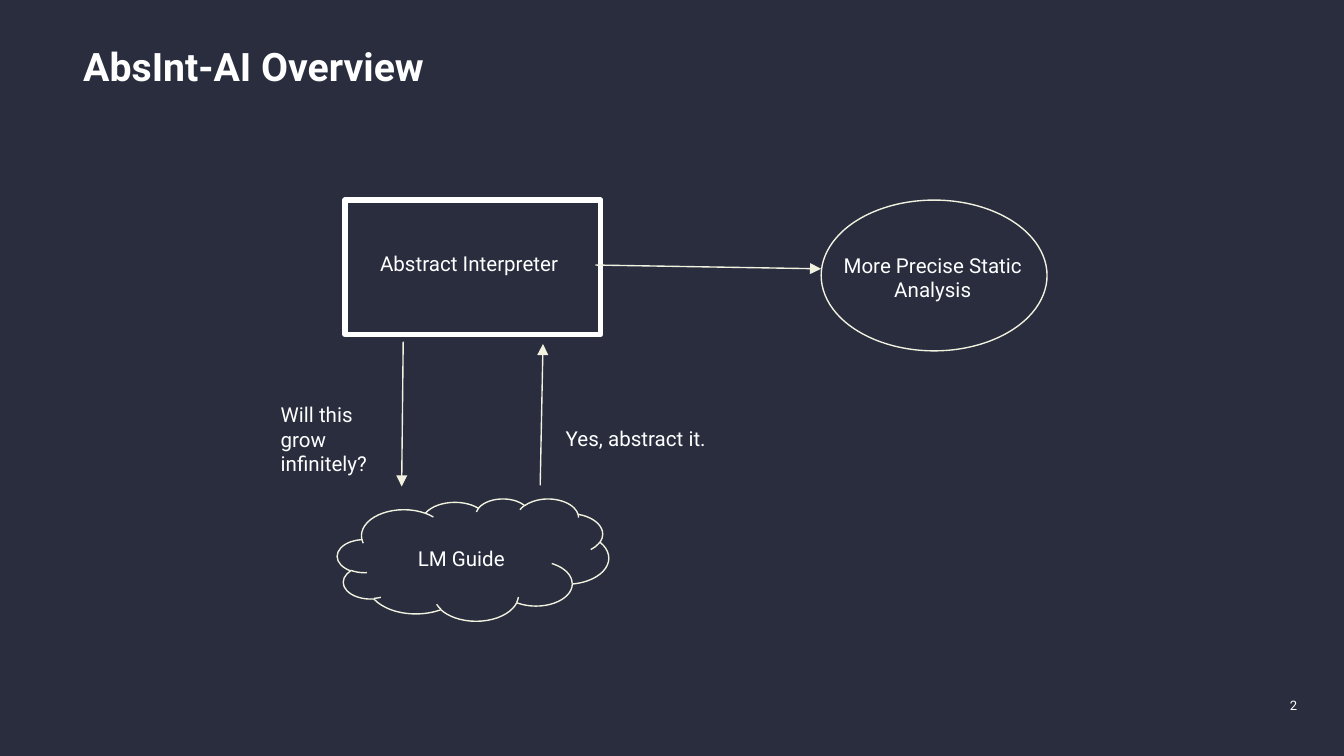
import pptx
import pptx.dml.color
import pptx.enum.shapes
import pptx.enum.text
import pptx.oxml
import pptx.oxml.ns
import pptx.util

Pt = pptx.util.Pt
SHAPE = pptx.enum.shapes.MSO_SHAPE
ALIGN = pptx.enum.text.PP_ALIGN
FONT = "Roboto"
COLORS = {"background": "292D3E", "white": "FFFFFF", "outline": "F1F2DF"}


def rgb(name):
    return pptx.dml.color.RGBColor.from_string(COLORS[name])


def sub_element(parent, tag, **attrs):
    el = pptx.oxml.parse_xml(f"<{tag} {pptx.oxml.ns.nsdecls('a')}/>")
    for key, value in attrs.items():
        el.set(key, value)
    parent.append(el)


def write_text(sp, text, size, align=ALIGN.LEFT, bold=False):
    tf = sp.text_frame
    tf.word_wrap = True
    tf.auto_size = pptx.enum.text.MSO_AUTO_SIZE.NONE
    tf.vertical_anchor = pptx.enum.text.MSO_ANCHOR.TOP
    tf.margin_left = tf.margin_right = tf.margin_top = tf.margin_bottom = Pt(7.2)
    p = tf.paragraphs[0]
    p.alignment = align
    r = p.add_run()
    r.text = text
    r.font.name = FONT
    r.font.size = Pt(size)
    r.font.bold = bold
    r.font.color.rgb = rgb("white")


def add_title(s, text, left, top, width, height):
    sp = s.shapes.title
    sp.left, sp.top, sp.width, sp.height = Pt(left), Pt(top), Pt(width), Pt(height)
    write_text(sp, text, 21, bold=True)


def add_label(s, text, left, top, width, height, size=11, align=ALIGN.LEFT):
    sp = s.shapes.add_textbox(Pt(left), Pt(top), Pt(width), Pt(height))
    write_text(sp, text, size, align)


def add_outline(s, kind, left, top, width, height, color="outline", weight=0.75):
    sp = s.shapes.add_shape(kind, Pt(left), Pt(top), Pt(width), Pt(height))
    sp.shadow.inherit = False
    sp.fill.background()
    sp.line.color.rgb = rgb(color)
    sp.line.width = Pt(weight)
    sub_element(sp.line._get_or_add_ln(), "a:round")


def add_arrow(s, x1, y1, x2, y2):
    cxn = s.shapes.add_connector(
        pptx.enum.shapes.MSO_CONNECTOR.STRAIGHT, Pt(x1), Pt(y1), Pt(x2), Pt(y2))
    cxn.line.color.rgb = rgb("outline")
    cxn.line.width = Pt(0.75)
    sub_element(cxn.line._get_or_add_ln(), "a:tailEnd", type="triangle")
    sub_element(cxn._element.spPr, "a:effectLst")


def main():
    prs = pptx.Presentation()
    prs.slide_width, prs.slide_height = Pt(720), Pt(405)
    s = prs.slides.add_slide(prs.slide_layouts[5])
    s.background.fill.solid()
    s.background.fill.fore_color.rgb = rgb("background")

    add_title(s, "AbsInt-AI Overview", 37.4, 15.5, 301, 57.6)

    add_outline(s, SHAPE.RECTANGLE, 185, 107.2, 136.8, 72, "white", 3)
    add_label(s, "Abstract Interpreter", 196.5, 127.5, 131, 93.6)
    add_outline(s, SHAPE.OVAL, 439.9, 107.2, 121, 80.8)
    add_label(s, "More Precise Static Analysis", 434.2, 128.2, 131, 30.2,
              align=ALIGN.CENTER)
    add_outline(s, SHAPE.CLOUD, 180.7, 267.1, 145.4, 65.5)
    add_label(s, "LM Guide", 216.7, 285.1, 72.7, 30.2)

    add_arrow(s, 319, 142, 439.9, 144)
    add_arrow(s, 216, 183, 215.2, 260.6)
    add_arrow(s, 289.4, 260, 290.9, 184.3)
    add_label(s, "Will this grow infinitely?", 143.3, 208.1, 72.7, 30.2)
    add_label(s, "Yes, abstract it.", 296, 221, 90.7, 30.2)

    add_label(s, "2", 529.2, 366.5, 172.8, 23, 7, ALIGN.RIGHT)

    prs.save("out.pptx")


if __name__ == "__main__":
    main()
